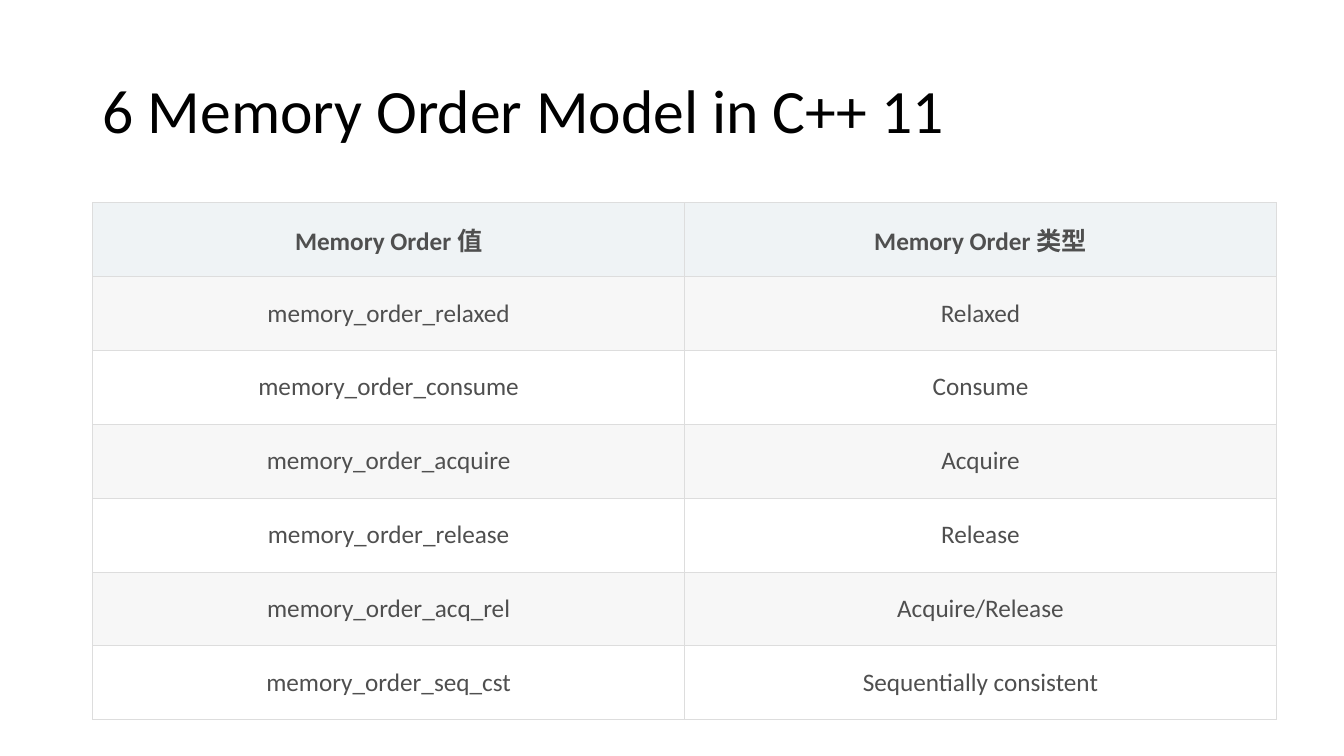
from dataclasses import dataclass

from lxml import etree
from pptx import Presentation
from pptx.dml.color import RGBColor
from pptx.enum.text import MSO_ANCHOR, PP_ALIGN
from pptx.oxml.ns import qn
from pptx.slide import Slide
from pptx.table import _Cell
from pptx.text.text import _Paragraph
from pptx.util import Inches, Pt

MIDDLE = MSO_ANCHOR.MIDDLE
LEFT, CENTER = PP_ALIGN.LEFT, PP_ALIGN.CENTER

FONT = "Calibri"
BLACK = RGBColor(0x00, 0x00, 0x00)
GREY_TEXT = RGBColor(0x4F, 0x4F, 0x4F)
HEADER_FILL = RGBColor(0xEF, 0xF3, 0xF5)
ODD_FILL = RGBColor(0xF7, 0xF7, 0xF7)
EVEN_FILL = RGBColor(0xFF, 0xFF, 0xFF)
BORDER = RGBColor(0xDD, 0xDD, 0xDD)

# Page grid
PAGE_WIDTH, PAGE_HEIGHT = Inches(13.33), Inches(7.5)
MARGIN = Inches(0.92)
TITLE_TOP, TITLE_WIDTH, TITLE_HEIGHT = Inches(0.4), Inches(11.5), Inches(1.45)
TABLE_TOP = Inches(2.01)
COLUMN_WIDTH, ROW_HEIGHT = Inches(5.87), Inches(5.13 / 7)
CELL_INSET = Inches(0.07)
BORDER_WIDTH = Pt(0.6)


@dataclass(frozen=True)
class TextStyle:
    size: float
    color: RGBColor
    align: PP_ALIGN
    bold: bool = False


@dataclass(frozen=True)
class MemoryOrder:
    value: str
    kind: str


TITLE_STYLE = TextStyle(44, BLACK, LEFT)
HEADER_STYLE = TextStyle(18, GREY_TEXT, CENTER, bold=True)
BODY_STYLE = TextStyle(18, GREY_TEXT, CENTER)

TITLE = "6 Memory Order Model in C++ 11"
ROWS = [
    MemoryOrder("Memory Order 值", "Memory Order 类型"),
    MemoryOrder("memory_order_relaxed", "Relaxed"),
    MemoryOrder("memory_order_consume", "Consume"),
    MemoryOrder("memory_order_acquire", "Acquire"),
    MemoryOrder("memory_order_release", "Release"),
    MemoryOrder("memory_order_acq_rel", "Acquire/Release"),
    MemoryOrder("memory_order_seq_cst", "Sequentially consistent"),
]


def write(para: _Paragraph, text: str, style: TextStyle) -> None:
    para.text = text
    para.alignment = style.align
    for span in para.runs:
        span.font.name = FONT
        span.font.size = Pt(style.size)
        span.font.bold = style.bold
        span.font.color.rgb = style.color


def add_borders(cell: _Cell) -> None:
    properties = cell._tc.get_or_add_tcPr()
    for side in ("a:lnL", "a:lnR", "a:lnT", "a:lnB"):
        line = etree.SubElement(properties, qn(side), w=str(int(BORDER_WIDTH)))
        fill = etree.SubElement(line, qn("a:solidFill"))
        etree.SubElement(fill, qn("a:srgbClr"), val=str(BORDER))


def draw_cell(cell: _Cell, text: str, style: TextStyle, fill: RGBColor) -> None:
    add_borders(cell)
    cell.fill.solid()
    cell.fill.fore_color.rgb = fill
    cell.vertical_anchor = MIDDLE
    cell.margin_left = cell.margin_right = CELL_INSET
    cell.margin_top = cell.margin_bottom = CELL_INSET
    write(cell.text_frame.paragraphs[0], text, style)


def draw_title(page: Slide) -> None:
    box = page.shapes.add_textbox(MARGIN, TITLE_TOP, TITLE_WIDTH, TITLE_HEIGHT)
    box.text_frame.word_wrap = True
    box.text_frame.vertical_anchor = MIDDLE
    para = box.text_frame.paragraphs[0]
    write(para, TITLE, TITLE_STYLE)
    para.line_spacing = 0.9


def draw_table(page: Slide) -> None:
    table = page.shapes.add_table(
        len(ROWS), 2, MARGIN, TABLE_TOP, 2 * COLUMN_WIDTH, len(ROWS) * ROW_HEIGHT
    ).table
    for column in table.columns:
        column.width = COLUMN_WIDTH
    for index, order in enumerate(ROWS):
        table.rows[index].height = ROW_HEIGHT
        if index == 0:
            style, fill = HEADER_STYLE, HEADER_FILL
        else:
            style, fill = BODY_STYLE, ODD_FILL if index % 2 else EVEN_FILL
        draw_cell(table.cell(index, 0), order.value, style, fill)
        draw_cell(table.cell(index, 1), order.kind, style, fill)


def main() -> None:
    deck = Presentation()
    deck.slide_width, deck.slide_height = PAGE_WIDTH, PAGE_HEIGHT
    page = deck.slides.add_slide(deck.slide_layouts[6])
    draw_title(page)
    draw_table(page)
    deck.save("out.pptx")


if __name__ == "__main__":
    main()
